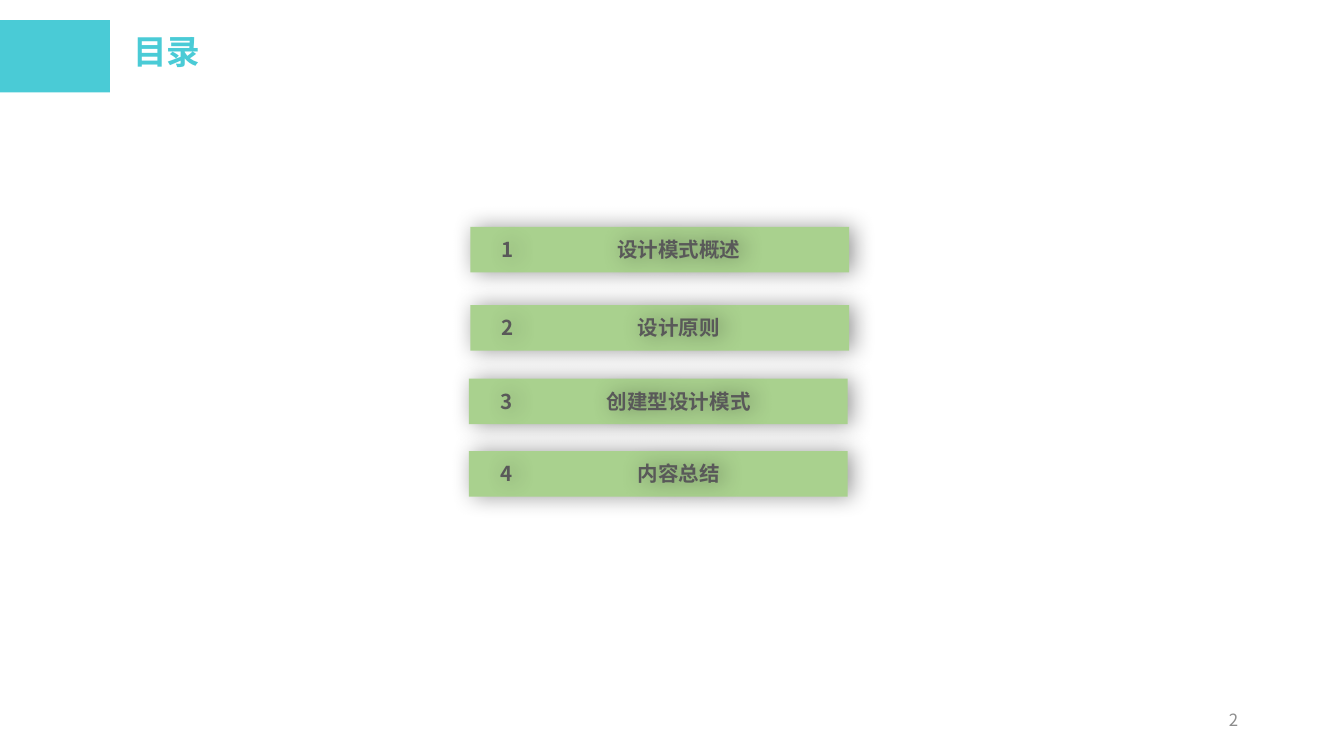
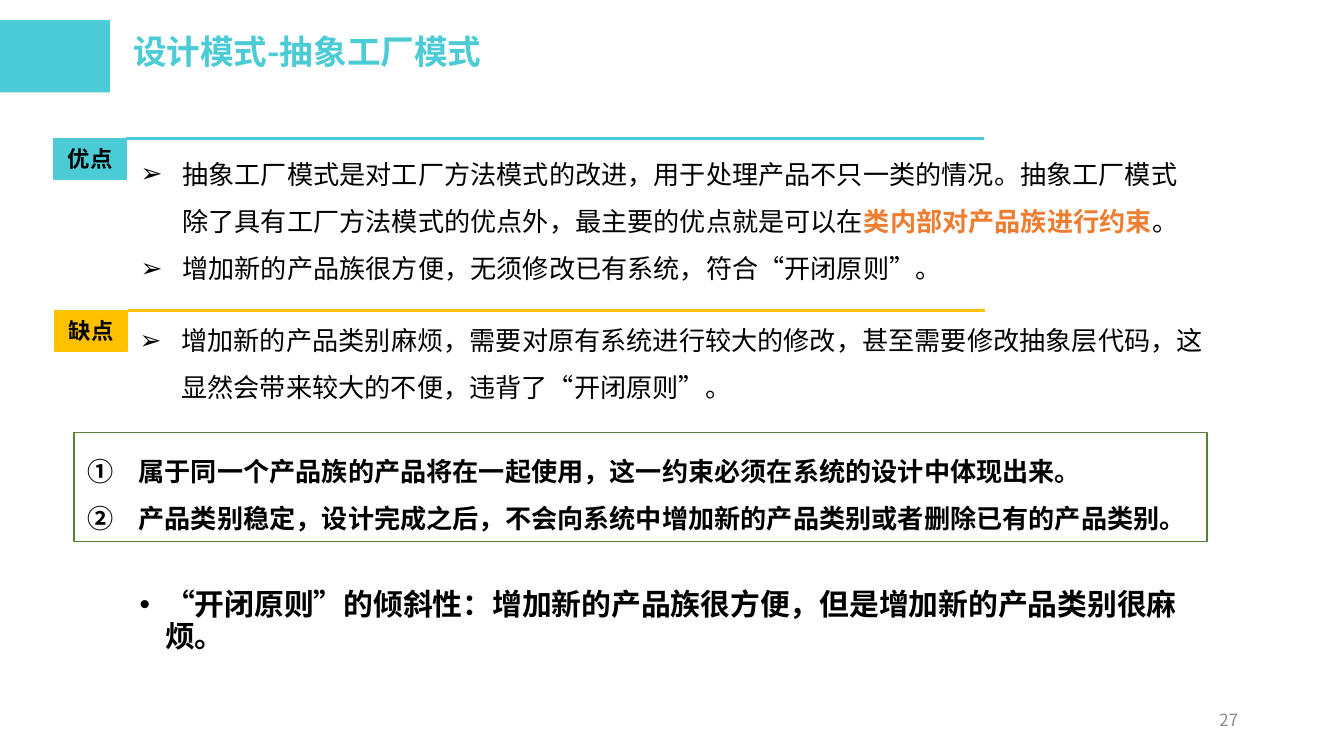
from lxml import etree
from pptx import Presentation
from pptx import util as u
from pptx.dml.color import RGBColor
from pptx.enum import shapes, text
from pptx.oxml import parse_xml
from pptx.oxml.ns import qn

TEAL, AMBER, LEAF, MOSS = "4ACBD6", "FFC000", "A9D18E", "548235"
INK, DARK, GREY, WARM = "000000", "595959", "8C8C8C", "ED7D31"
SANS, ARIAL = "Noto Sans CJK SC", "Arial"
NS = "http://schemas.openxmlformats.org/drawingml/2006/main"

# Content: lengths in cm; a paragraph is a list of (words, changed formats)
AGENDA = [
    ("设计模式概述", 8.89, 4.29),
    ("设计原则", 8.89, 5.77),
    ("创建型设计模式", 8.86, 7.16),
    ("内容总结", 8.86, 8.53),
]
POINTS = [
    dict(label="优点", color=TEAL, at=(1.02, 2.62), box=(2.41, 2.57, 20.37, 2.95), paras=[
        [("抽象工厂模式是对工厂方法模式的改进，用于处理产品不只一类的情况。"
          "抽象工厂模式除了具有工厂方法模式的优点外，最主要的优点就是可以在", {}),
         ("类内部对产品族进行约束", dict(color=WARM, bold=True)), ("。", {})],
        [("增加新的产品族很方便，无须修改已有系统，符合“开闭原则”。", dict(name=ARIAL))],
    ]),
    dict(label="缺点", color=AMBER, at=(1.04, 5.87), box=(2.39, 5.72, 20.75, 2.06), paras=[
        [("增加新的产品", dict(name=ARIAL)), ("类别", {}),
         ("麻烦，需要对原有系统进行较大的修改，甚至需要修改抽象层代码，"
          "这显然会带来较大的不便，违背了“开闭原则”。", dict(name=ARIAL))],
    ]),
]
RULES = [
    [("属于同一个产品族的产品将在一起使用，这一约束必须在系统的设计中体现出来。", {})],
    [("产品类别稳定，设计完成之后，不会向系统中增加新的产品类别或者删除已有的产品类别。", {})],
]
CLOSE = [[("“开闭原则”的倾斜性：增加新的产品族很方便，但是增加新的产品类别很麻烦。", {})]]

# Formats
HEAD = dict(size=18, color=TEAL, bold=True)
ITEM = dict(size=11, color=DARK, bold=True)
TAG = dict(size=12, color=INK, bold=True)
BODY = dict(size=14, color=INK)
BOLD = dict(BODY, bold=True)
LAST = dict(size=16, color=INK, bold=True)
PAGE = dict(size=9, color=GREY)
ARROW = dict(char="➢", hang=0.79)
COUNT = dict(auto="circleNumDbPlain", hang=0.97)
DOT = dict(char="•", hang=0.48)


def rgb(code):
    return RGBColor.from_string(code)


def cms(nums):
    return [u.Cm(n) for n in nums]


def style(run, form):
    form = dict(dict(name=SANS, bold=False), **form)
    run.font.color.rgb = rgb(form.pop("color"))
    form["size"] = u.Pt(form["size"])
    for key, val in form.items():
        setattr(run.font, key, val)
    east = etree.Element(qn("a:ea"), typeface=SANS)
    run.font._element.find(qn("a:latin")).addnext(east)


def bullet(para, hang, char=None, auto=None):
    props = para._p.get_or_add_pPr()
    props.set("marL", str(u.Cm(hang)))
    props.set("indent", str(-u.Cm(hang)))
    if auto:
        etree.SubElement(props, qn("a:buAutoNum"), type=auto)
    else:
        etree.SubElement(props, qn("a:buFont"), typeface=ARIAL)
        etree.SubElement(props, qn("a:buChar"), char=char)


def write(shape, paras, form, mark=None, space=None, align="LEFT", anchor="TOP", wrap=True):
    frame = shape.text_frame
    setup = dict(word_wrap=wrap, auto_size=text.MSO_AUTO_SIZE.NONE,
                 vertical_anchor=getattr(text.MSO_ANCHOR, anchor))
    for key, val in setup.items():
        setattr(frame, key, val)
    if isinstance(paras, str):
        paras = [[(paras, {})]]
    for i, runs in enumerate(paras):
        para = frame.add_paragraph() if i else frame.paragraphs[0]
        if mark:
            bullet(para, **mark)
        para.alignment = getattr(text.PP_ALIGN, align)
        para.line_spacing = space
        para.space_before = u.Pt(0)
        for words, diff in runs:
            run = para.add_run()
            run.text = words
            style(run, dict(form, **diff))


def note(slide, box, paras, form, **opts):
    shape = slide.shapes.add_textbox(*cms(box))
    write(shape, paras, form, **opts)
    return shape


def block(slide, box, fill=None, line=None, width=1):
    shape = slide.shapes.add_shape(shapes.MSO_SHAPE.RECTANGLE, *cms(box))
    shape.shadow.inherit = False
    if fill:
        shape.fill.solid()
        shape.fill.fore_color.rgb = rgb(fill)
    else:
        shape.fill.background()
    if line:
        shape.line.color.rgb = rgb(line)
        shape.line.width = u.Pt(width)
    else:
        shape.line.fill.background()
    return shape


def shade(shape):
    props = shape._element.spPr
    for old in props.findall(qn("a:effectLst")):
        props.remove(old)
    props.append(parse_xml(
        f'<a:effectLst xmlns:a="{NS}"><a:outerShdw blurRad="{u.Pt(12)}" dist="{u.Pt(2)}" '
        'dir="0" algn="ctr" rotWithShape="0"><a:srgbClr val="000000">'
        '<a:alpha val="40000"/></a:srgbClr></a:outerShdw></a:effectLst>'))


def rule(slide, left, right, top, color):
    line = slide.shapes.add_connector(shapes.MSO_CONNECTOR.STRAIGHT,
                                      *cms((left, top, right, top)))
    line.line.color.rgb = rgb(color)
    line.line.width = u.Pt(1.5)
    etree.SubElement(line._element.spPr, qn("a:effectLst"))


def start(deck, title, width, page):
    """Add a slide with the shared band, title and page number."""
    slide = deck.slides.add_slide(deck.slide_layouts[5])
    head = slide.shapes.title
    head.left, head.top, head.width, head.height = cms((2.26, 0.61, width, 1.17))
    write(head, title, HEAD, space=0.8)
    block(slide, (0, 0.38, 2.08, 1.37), TEAL)
    note(slide, (17.93, 13.23, 5.72, 0.76), page, PAGE, align="RIGHT", anchor="MIDDLE")
    return slide


def agenda(deck):
    slide = start(deck, "目录", 5.59, "2")
    mid, high = 12.83, 0.74
    for i, (name, left, top) in enumerate(AGENDA, 1):
        shade(block(slide, (left, top, 7.16, 0.86), LEAF))
        wide = 0.39 * len(name) + 0.53
        for words, x, w in ((str(i), left + 0.33, 0.76), (name, mid - wide / 2, wide)):
            shade(note(slide, (x, top + 0.06, w, high), words, ITEM,
                       align="CENTER", wrap=False))


def factory(deck):
    slide = start(deck, "设计模式-抽象工厂模式", 10.21, "27")
    # Pros and cons
    wide, reach = 1.37, 16.2
    for point in POINTS:
        left, top = point["at"]
        color = point["color"]
        note(slide, point["box"], point["paras"], BODY, mark=ARROW, space=1.5)
        tag = block(slide, (left, top, wide, 0.76), color, color)
        write(tag, point["label"], TAG, align="CENTER", anchor="MIDDLE", wrap=False)
        rule(slide, left + wide, left + wide + reach, top, color)
    # Conditions of use
    frame = block(slide, (1.4, 8.18, 21.41, 2.06), line=MOSS, width=0.75)
    write(frame, RULES, BOLD, mark=COUNT, space=1.5)
    # Closing remark
    note(slide, (2.39, 11.02, 20.55, 0.91), CLOSE, LAST, mark=DOT, space=0.9)


def main():
    deck = Presentation()
    deck.slide_width, deck.slide_height = cms((25.4, 14.29))
    agenda(deck)
    factory(deck)
    deck.save("out.pptx")


if __name__ == "__main__":
    main()
